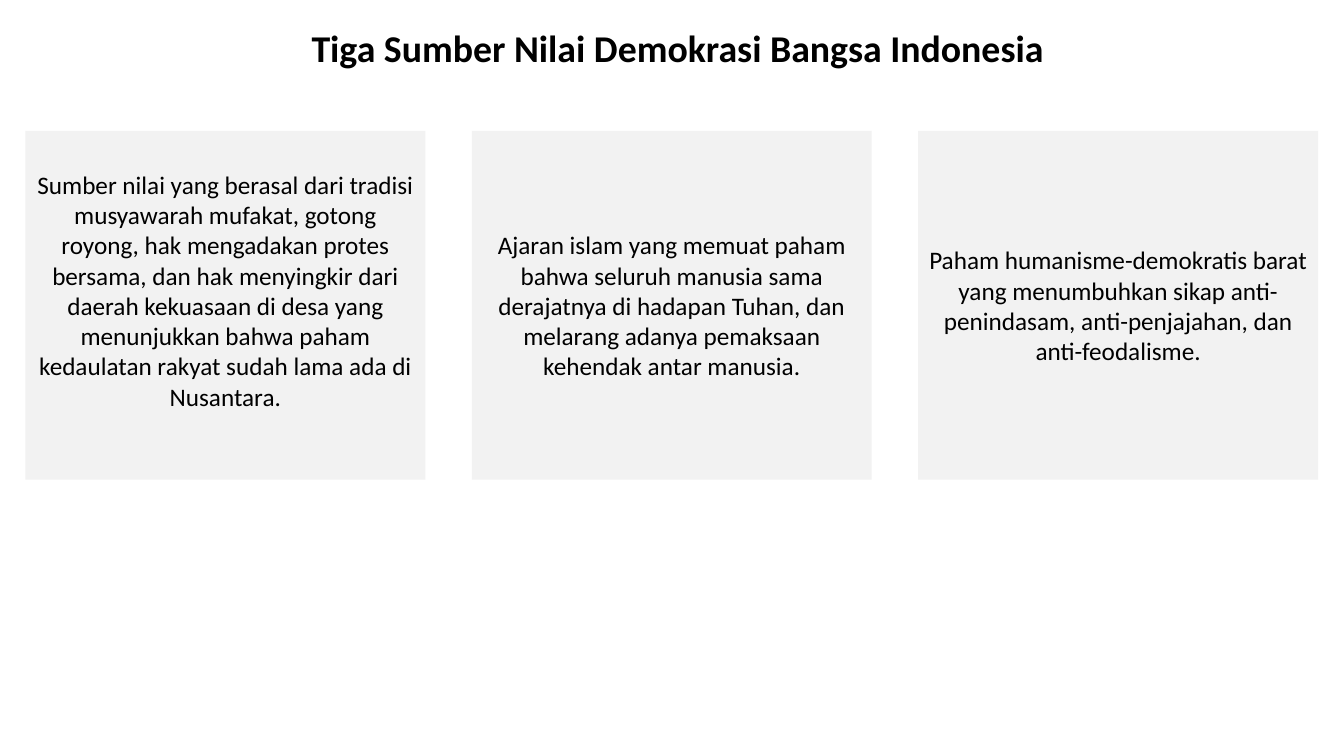
from pptx import Presentation
from pptx.dml.color import RGBColor
from pptx.enum.shapes import MSO_SHAPE
from pptx.enum.text import MSO_ANCHOR, MSO_AUTO_SIZE, PP_ALIGN
from pptx.util import Cm, Pt

TITLE = "Tiga Sumber Nilai Demokrasi Bangsa Indonesia"

# Text of each card and its bottom inset in cm
SOURCES = [
    ("Sumber nilai yang berasal dari tradisi musyawarah mufakat, gotong royong, "
     "hak mengadakan protes bersama, dan hak menyingkir dari daerah kekuasaan "
     "di desa yang menunjukkan bahwa paham kedaulatan rakyat sudah lama ada "
     "di Nusantara.", 0.89),
    ("Ajaran islam yang memuat paham bahwa seluruh manusia sama derajatnya "
     "di hadapan Tuhan, dan melarang adanya pemaksaan kehendak antar manusia.", 0.13),
    ("Paham humanisme-demokratis barat yang menumbuhkan sikap anti-penindasam, "
     "anti-penjajahan, dan anti-feodalisme.", 0.13),
]

CARD_LEFT, CARD_TOP = 0.64, 3.3
CARD_WIDTH, CARD_HEIGHT = 10.08, 8.79
CARD_PITCH = 11.25


def color(hex_code):
    return RGBColor.from_string(hex_code)


def write(frame, text, size=18, bold=False, align=PP_ALIGN.CENTER, wrap=True):
    frame.word_wrap = wrap
    frame.auto_size = MSO_AUTO_SIZE.NONE
    frame.vertical_anchor = MSO_ANCHOR.MIDDLE
    para = frame.paragraphs[0]
    para.alignment = align
    span = para.add_run()
    span.text = text
    span.font.name = "Calibri"
    span.font.size = Pt(size)
    span.font.bold = bold
    span.font.color.rgb = color("000000")


def place_title(page, text):
    title = page.shapes.title
    title.left, title.top = Cm(7.49), Cm(0.48)
    title.width, title.height = Cm(19.18), Cm(1.42)
    write(title.text_frame, text, size=27, bold=True, wrap=False)


def add_card(page, left, text, bottom_inset):
    card = page.shapes.add_shape(MSO_SHAPE.RECTANGLE, Cm(left), Cm(CARD_TOP),
                                 Cm(CARD_WIDTH), Cm(CARD_HEIGHT))
    card.shadow.inherit = False
    card.fill.solid()
    card.fill.fore_color.rgb = color("F2F2F2")
    card.line.fill.background()
    card.text_frame.margin_bottom = Cm(bottom_inset)
    write(card.text_frame, text)


def main():
    deck = Presentation()
    deck.slide_width, deck.slide_height = Cm(33.87), Cm(19.05)
    page = deck.slides.add_slide(deck.slide_layouts.get_by_name("Title Only"))

    # Heading
    place_title(page, TITLE)

    # Row of three cards
    for index, (text, bottom_inset) in enumerate(SOURCES):
        add_card(page, CARD_LEFT + index * CARD_PITCH, text, bottom_inset)

    deck.save("out.pptx")


if __name__ == "__main__":
    main()
